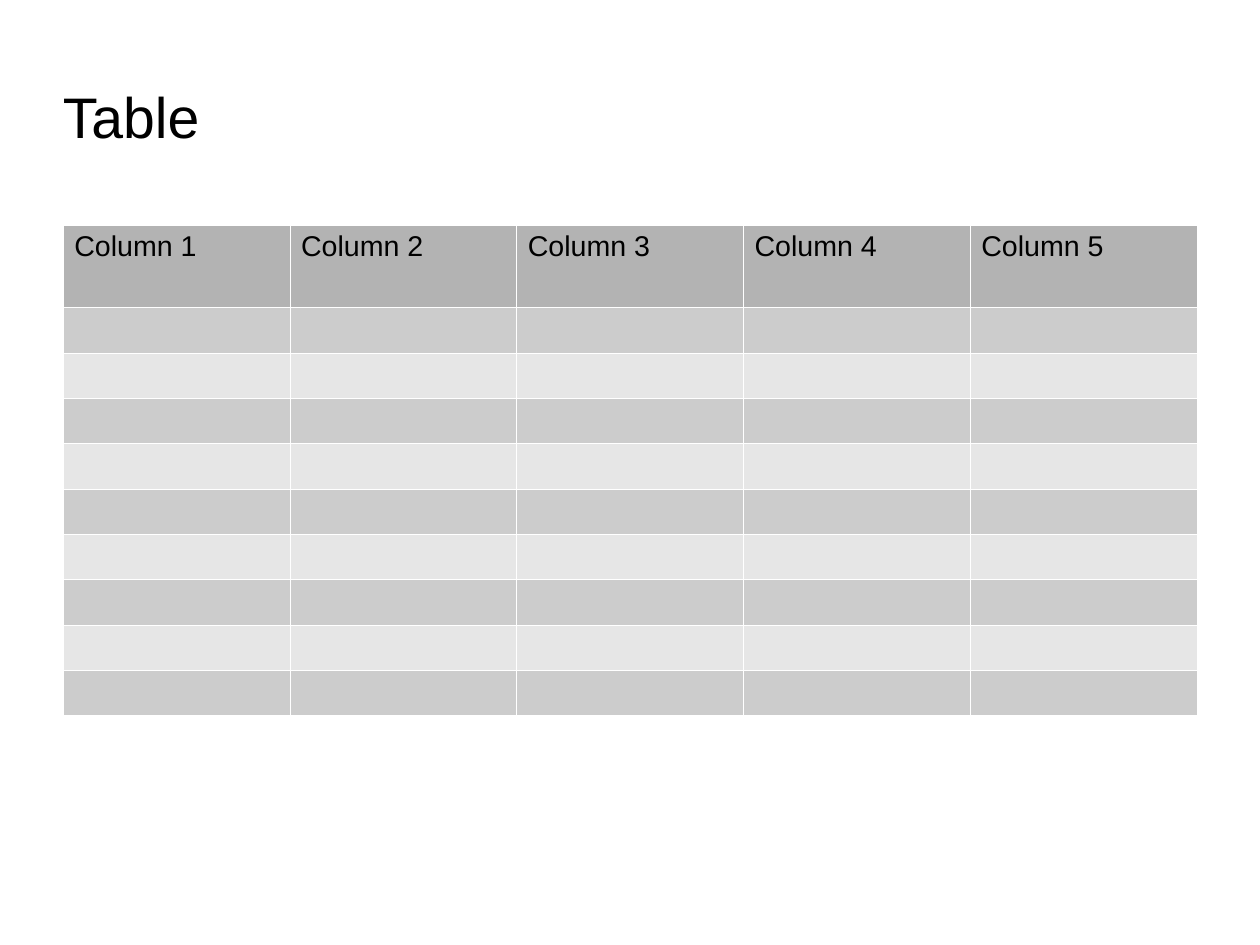
from dataclasses import dataclass

from lxml.etree import SubElement
from pptx import Presentation
from pptx.dml.color import RGBColor
from pptx.enum.text import MSO_ANCHOR, PP_ALIGN
from pptx.oxml.ns import qn
from pptx.util import Inches, Pt


@dataclass(frozen=True)
class Theme:
    font: str = "Arial"
    title_size: int = 36
    cell_size: int = 18
    line_spacing: float = 0.94
    text: str = "000000"
    border: str = "FFFFFF"
    header: str = "B3B3B3"
    bands: tuple = ("CCCCCC", "E6E6E6")


theme = Theme()


def add_text(tf, text, size):
    p = tf.paragraphs[0]
    p.alignment = PP_ALIGN.LEFT
    p.line_spacing = theme.line_spacing
    r = p.add_run()
    r.text = text
    r.font.name = theme.font
    r.font.size = Pt(size)
    r.font.bold = False
    r.font.color.rgb = RGBColor.from_string(theme.text)


def format_cell(cell, color):
    """Give the cell its margins, thin borders and fill."""
    cell.margin_left = cell.margin_right = Inches(0.1)
    cell.margin_top = cell.margin_bottom = Inches(0.04)
    tcPr = cell._tc.get_or_add_tcPr()
    for side in ("a:lnL", "a:lnR", "a:lnT", "a:lnB"):
        ln = SubElement(tcPr, qn(side), w=str(Pt(0.06)))
        line_fill = SubElement(ln, qn("a:solidFill"))
        SubElement(line_fill, qn("a:srgbClr"), val=theme.border)
    cell.fill.solid()
    cell.fill.fore_color.rgb = RGBColor.from_string(color)


# The page is 28 by 21 centimetres
prs = Presentation()
prs.slide_width = Inches(28 / 2.54)
prs.slide_height = Inches(21 / 2.54)
s = prs.slides.add_slide(prs.slide_layouts[5])

# Title
title = s.shapes.title
title.left, title.top = Inches(0.55), Inches(0.63)
title.width, title.height = Inches(7.87), Inches(0.79)
tf = title.text_frame
tf.word_wrap = True
tf.vertical_anchor = MSO_ANCHOR.MIDDLE
tf.margin_left = tf.margin_right = tf.margin_bottom = 0
tf.margin_top = Inches(0.03)
add_text(tf, "Table", theme.title_size)

# Table: one tall header row above nine equal banded rows
headers = [f"Column {n}" for n in range(1, 6)]
body_rows = 9
header_height, body_height = Inches(0.72), Inches(3.57)
table = s.shapes.add_table(
    body_rows + 1, len(headers), Inches(0.55), Inches(1.97),
    Inches(9.92), header_height + body_height,
).table
table.first_row = False
table.horz_banding = False

for i, row in enumerate(table.rows):
    row.height = body_height // body_rows if i else header_height
    color = theme.bands[(i - 1) % 2] if i else theme.header
    for cell in row.cells:
        format_cell(cell, color)

for cell, header in zip(table.rows[0].cells, headers):
    cell.margin_top = Inches(0.06)
    add_text(cell.text_frame, header, theme.cell_size)

prs.save("out.pptx")
